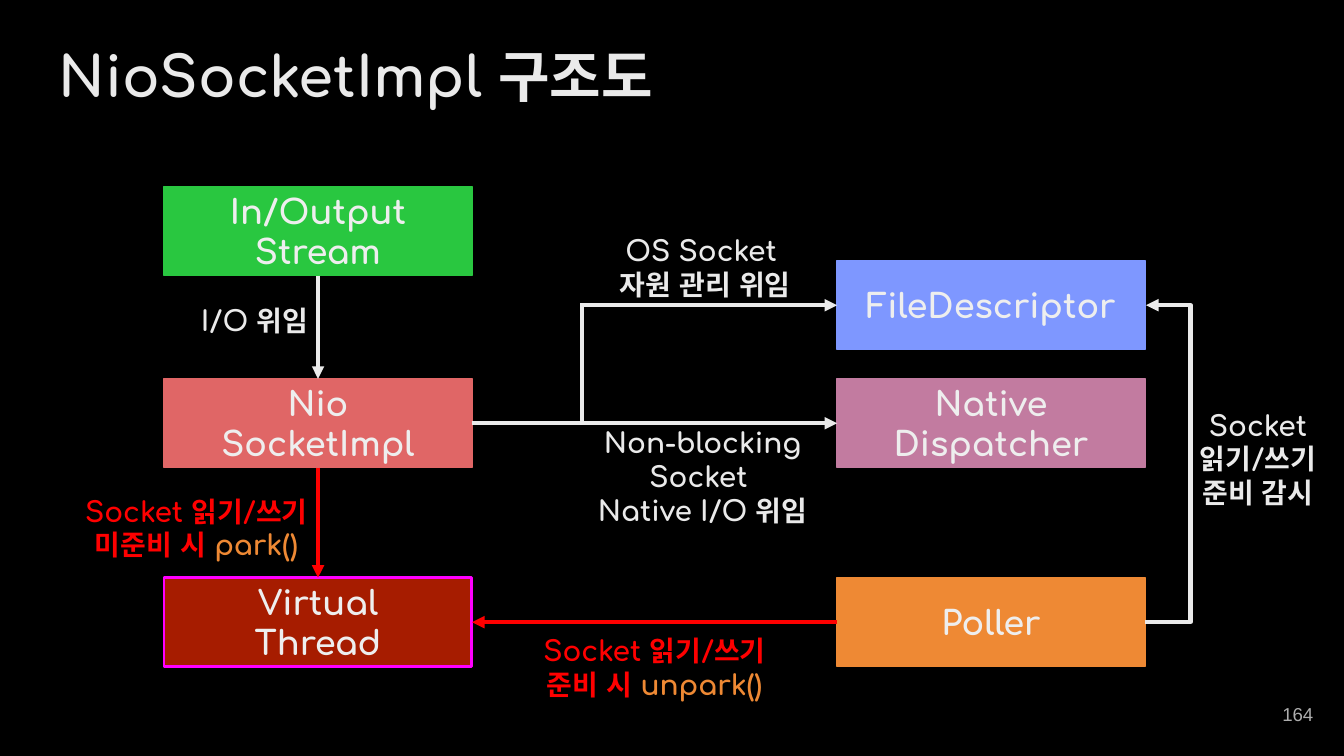
from lxml import etree
from pptx import Presentation
from pptx.dml.color import RGBColor
from pptx.enum.shapes import MSO_CONNECTOR, MSO_SHAPE
from pptx.enum.text import MSO_ANCHOR, PP_ALIGN
from pptx.oxml.ns import qn
from pptx.util import Cm, Pt

RECT = MSO_SHAPE.RECTANGLE
LINE, ELBOW = MSO_CONNECTOR.STRAIGHT, MSO_CONNECTOR.ELBOW
TOP, MID = MSO_ANCHOR.TOP, MSO_ANCHOR.MIDDLE
LEFT, MIDDLE, RIGHT = PP_ALIGN.LEFT, PP_ALIGN.CENTER, PP_ALIGN.RIGHT

BLACK = RGBColor(0x00, 0x00, 0x00)
WHITE = RGBColor(0xEA, 0xEA, 0xEA)
PALE = RGBColor(0xEE, 0xEE, 0xEE)
GRAY = RGBColor(0xAD, 0xAD, 0xAD)
RED = RGBColor(0xFF, 0x00, 0x00)
ORANGE = RGBColor(0xEE, 0x89, 0x34)
GREEN = RGBColor(0x29, 0xC7, 0x40)
CORAL = RGBColor(0xE0, 0x66, 0x66)
BROWN = RGBColor(0xA6, 0x1C, 0x00)
PINK = RGBColor(0xFF, 0x00, 0xFF)
BLUE = RGBColor(0x7E, 0x97, 0xFF)
MAUVE = RGBColor(0xC2, 0x7B, 0xA0)

FONT = "Comfortaa"

# Content: boxes on two columns (lengths in cm)
BOX_W, BOX_H = 5.82, 1.68
COL_A, COL_B = 3.1, 15.82
BOXES = {  # name: (text, left, top, fill, edge, edge width)
    "stream": ("In/Output\vStream", COL_A, 3.53, GREEN, GREEN, 0.75),
    "nio": ("Nio\vSocketImpl", COL_A, 7.16, CORAL, CORAL, 0.75),
    "thread": ("Virtual\vThread", COL_A, 10.92, BROWN, PINK, 1.5),
    "poller": ("Poller", COL_B, 10.92, ORANGE, ORANGE, 0.75),
    "file": ("FileDescriptor", COL_B, 4.93, BLUE, BLUE, 0.75),
    "native": ("Native\vDispatcher", COL_B, 7.16, MAUVE, MAUVE, 0.75),
}

# Labels: left, top, width, height, runs of (text, colour)
LABELS = [
    (3.35, 5.49, 2.92, 1.3, [("I/O 위임", WHITE)]),
    (1.07, 9.09, 5.28, 1.3,
     [("Socket 읽기/쓰기 미준비 시 ", RED), ("park()", ORANGE)]),
    (9.73, 11.73, 5.28, 1.3,
     [("Socket 읽기/쓰기 준비 시 ", RED), ("unpark()", ORANGE)]),
    (10.69, 4.17, 5.28, 1.3, [("OS Socket \v자원 관리 위임", WHITE)]),
    (10.64, 7.8, 5.28, 1.3,
     [("Non-blocking Socket \vNative I/O 위임", WHITE)]),
    (21.97, 7.47, 3.61, 3, [("Socket\v읽기/쓰기\v준비 감시", WHITE)]),
]
TITLE = [("NioSocketImpl 구조도", WHITE)]
NUMBER = [("164", GRAY)]

deck = Presentation()
deck.slide_width, deck.slide_height = Cm(25.4), Cm(14.29)
slide = deck.slides.add_slide(deck.slide_layouts[6])
slide.background.fill.solid()
slide.background.fill.fore_color.rgb = BLACK
shapes = slide.shapes


def write(shape, runs, size, align=MIDDLE, anchor=TOP, face=FONT, bold=True):
    frame = shape.text_frame
    frame.word_wrap = True
    frame.vertical_anchor = anchor
    frame.margin_left = frame.margin_right = Cm(0.25)
    frame.margin_top = frame.margin_bottom = Cm(0.25)
    para = frame.paragraphs[0]
    para.alignment = align
    for text, color in runs:
        first = len(para.runs)
        for i, part in enumerate(text.split("\v")):
            if i:
                para.add_line_break()
            para.add_run().text = part
        for run in para.runs[first:]:
            font = run.font
            font.name, font.size, font.bold = face, Pt(size), bold
            font.color.rgb = color
            for tag in ("a:ea", "a:cs"):
                props = run._r.get_or_add_rPr()
                etree.SubElement(props, qn(tag), typeface=face)


def label(left, top, width, height, runs, size, **style):
    box = shapes.add_textbox(Cm(left), Cm(top), Cm(width), Cm(height))
    write(box, runs, size, **style)


def link(start, end, color=WHITE, head=True, kind=LINE):
    wire = shapes.add_connector(kind, *(Cm(v) for v in (*start, *end)))
    wire.line.color.rgb = color
    wire.line.width = Pt(2.25)
    if head:
        etree.SubElement(wire.line._get_or_add_ln(), qn("a:tailEnd"),
                         type="triangle")
    etree.SubElement(wire._element.spPr, qn("a:effectLst"))
    return wire


def side(name, dx, dy):
    """Point on a box, as shares of its width and height."""
    _, left, top, *_ = BOXES[name]
    return left + dx * BOX_W, top + dy * BOX_H


# Boxes
for text, left, top, fill, edge, width in BOXES.values():
    box = shapes.add_shape(RECT, Cm(left), Cm(top), Cm(BOX_W), Cm(BOX_H))
    box.shadow.inherit = False
    box.fill.solid()
    box.fill.fore_color.rgb = fill
    box.line.color.rgb = edge
    box.line.width = Pt(width)
    write(box, [(text, PALE)], 18, anchor=MID)

# Straight arrows
link(side("nio", 1, 0.5), side("native", 0, 0.5))
link(side("stream", 0.5, 1), side("nio", 0.5, 0))
link(side("nio", 0.5, 1), side("thread", 0.5, 0), RED)
link(side("poller", 0, 0.5), side("thread", 1, 0.5), RED)

# Branch up to the file descriptor
FORK = 11
goal = side("file", 0, 0.5)
link((FORK, goal[1] - 0.04), (FORK, side("nio", 1, 0.5)[1]), head=False)
link((FORK, goal[1]), goal)

# Elbow from the poller, bulging out past both boxes
BULGE, STEP = 0.86, 0.02
x, y = side("file", 1, 0.5)
bend = link(side("poller", 1, 0.5), (x + STEP, y), kind=ELBOW)
guides = bend._element.spPr.find(qn("a:prstGeom")).get_or_add_avLst()
etree.SubElement(guides, qn("a:gd"), name="adj1",
                 fmla=f"val {round(BULGE / STEP * 100000)}")

# Labels, title and page number
for *place, runs in LABELS:
    label(*place, runs, 15)
label(0.86, 0.53, 21.87, 2.13, TITLE, 30, align=LEFT)
label(23.55, 12.95, 1.52, 1.09, NUMBER, 10, align=RIGHT, anchor=MID,
      face="Arial", bold=False)

deck.save("out.pptx")
